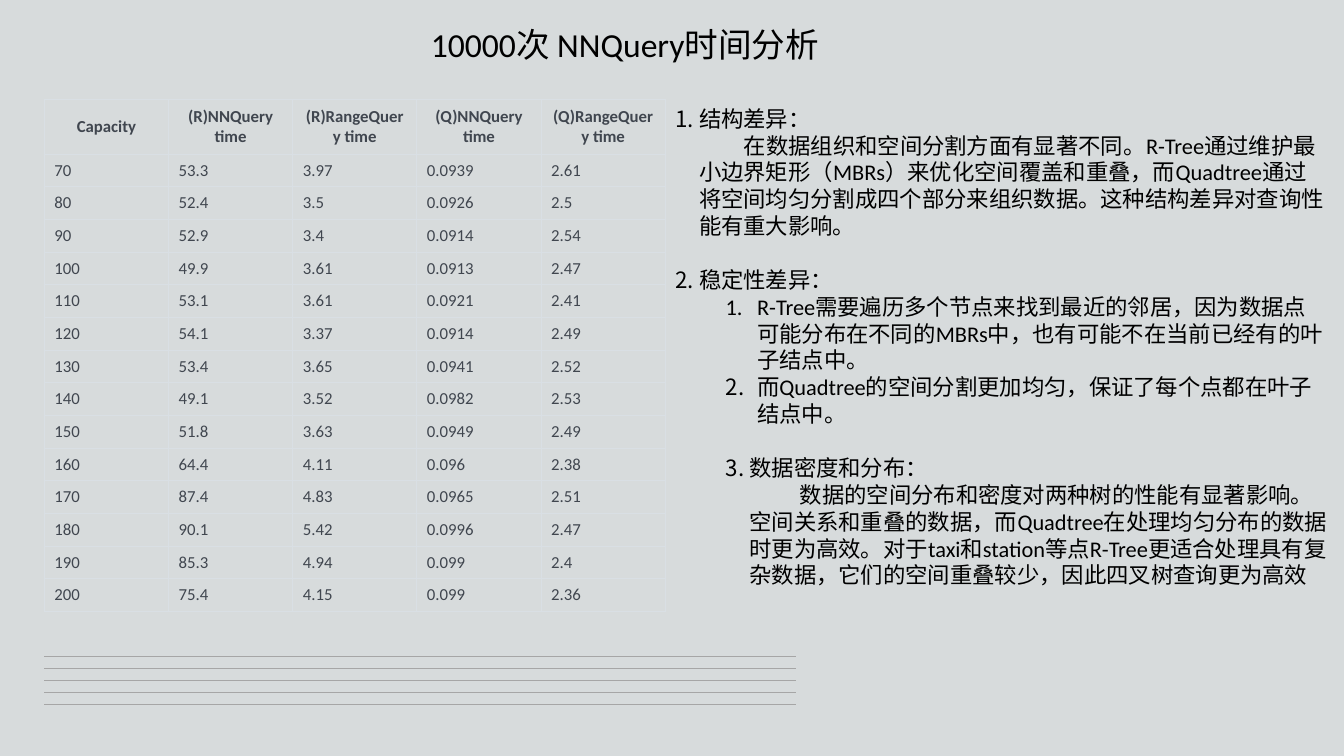
"""Slide with NNQuery timings in a table and a numbered analysis beside it."""
from lxml import etree
from pptx import Presentation
from pptx.dml.color import RGBColor
from pptx.enum import shapes, text
from pptx.oxml.ns import qn
from pptx.util import Pt

BACK = RGBColor(0xD7, 0xDB, 0xDC)
RULE = RGBColor(0xA6, 0xA6, 0xA6)
INK = RGBColor(0x40, 0x46, 0x4F)
BLACK = RGBColor(0, 0, 0)
EDGE = RGBColor(0xD9, 0xDF, 0xE4)
FONT = "Calibri"

HEADS = ["Capacity", "(R)NNQuery time", "(R)RangeQuery time",
         "(Q)NNQuery time", "(Q)RangeQuery time"]
TIMES = [
    ("53.3", "3.97", "0.0939", "2.61"),
    ("52.4", "3.5", "0.0926", "2.5"),
    ("52.9", "3.4", "0.0914", "2.54"),
    ("49.9", "3.61", "0.0913", "2.47"),
    ("53.1", "3.61", "0.0921", "2.41"),
    ("54.1", "3.37", "0.0914", "2.49"),
    ("53.4", "3.65", "0.0941", "2.52"),
    ("49.1", "3.52", "0.0982", "2.53"),
    ("51.8", "3.63", "0.0949", "2.49"),
    ("64.4", "4.11", "0.096", "2.38"),
    ("87.4", "4.83", "0.0965", "2.51"),
    ("90.1", "5.42", "0.0996", "2.47"),
    ("85.3", "4.94", "0.099", "2.4"),
    ("75.4", "4.15", "0.099", "2.36"),
]
ROWS = [HEADS] + [(str(70 + 10 * i), *row) for i, row in enumerate(TIMES)]

# number, level, left margin, first-line indent, space after, wording
NOTES = [
    (1, 0, 17, -17, 0, "结构差异："),
    (0, 0, 17, 32, 19.2, "在数据组织和空间分割方面有显著不同。R-Tree通过维护最小边界矩形（MBRs）来优化空间覆盖和重叠，"
     "而Quadtree通过将空间均匀分割成四个部分来组织数据。这种结构差异对查询性能有重大影响。"),
    (2, 0, 17, -17, 0, "稳定性差异："),
    (1, 1, 58.5, -22.5, 0, "R-Tree需要遍历多个节点来找到最近的邻居，因为数据点可能分布在不同的MBRs中，"
     "也有可能不在当前已经有的叶子结点中。"),
    (2, 1, 58.5, -22.5, 19.2, "而Quadtree的空间分割更加均匀，保证了每个点都在叶子结点中。"),
    (3, 1, 53, -17, 0, "数据密度和分布："),
    (0, 1, 53, 36, 0, "数据的空间分布和密度对两种树的性能有显著影响。空间关系和重叠的数据，"
     "而Quadtree在处理均匀分布的数据时更为高效。对于taxi和station等点R-Tree更适合处理具有复杂数据，"
     "它们的空间重叠较少，因此四叉树查询更为高效"),
]


def style(para, size, color, bold=False):
    for run in para.runs:
        run.font.name = FONT
        run.font.size = Pt(size)
        run.font.bold = bold
        run.font.color.rgb = color


def add_text(left, top, width, height):
    frame = slide.shapes.add_textbox(Pt(left), Pt(top), Pt(width), Pt(height)).text_frame
    frame.word_wrap = True
    frame.auto_size = text.MSO_AUTO_SIZE.SHAPE_TO_FIT_TEXT
    return frame


deck = Presentation()
deck.slide_width, deck.slide_height = Pt(960), Pt(540)
slide = deck.slides.add_slide(deck.slide_layouts[6])
slide.background.fill.solid()
slide.background.fill.fore_color.rgb = BACK

for start, end in ((215.3, 568.8), (31.7, 215.3)):
    for i in range(5):
        y = Pt(468.7 + 8.65 * i)
        line = slide.shapes.add_connector(shapes.MSO_CONNECTOR.STRAIGHT, Pt(start), y, Pt(end), y)
        line.line.color.rgb = RULE
        line.line.width = Pt(0.5)
        etree.SubElement(line._element.spPr, qn("a:effectLst"))

table = slide.shapes.add_table(len(ROWS), len(HEADS), Pt(31.7), Pt(71.3), Pt(443.5), Pt(365.8)).table
table.first_row = table.horz_banding = False
for col in table.columns:
    col.width = Pt(88.7)
for r, row in enumerate(ROWS):
    table.rows[r].height = Pt(23.35 if r else 38.9)
    for c, word in enumerate(row):
        cell = table.cell(r, c)
        cell.text_frame.text = word
        cell.vertical_anchor = text.MSO_ANCHOR.MIDDLE
        para = cell.text_frame.paragraphs[0]
        para.alignment = text.PP_ALIGN.LEFT if r else text.PP_ALIGN.CENTER
        style(para, 12, INK, r == 0)
        props = cell._tc.get_or_add_tcPr()
        for side in ("lnL", "lnR", "lnT", "lnB"):
            edge = etree.SubElement(props, qn("a:" + side), w=str(Pt(0.75)))
            fill = etree.SubElement(edge, qn("a:solidFill"))
            etree.SubElement(fill, qn("a:srgbClr"), val=str(EDGE))
        cell.fill.background()

notes = add_text(475.2, 71.3, 481, 375.8)
for i, (number, level, left, indent, after, words) in enumerate(NOTES):
    para = notes.add_paragraph() if i else notes.paragraphs[0]
    para.text = words
    para.level = level
    para.space_after = Pt(after)
    style(para, 16, BLACK)
    props = para._p.get_or_add_pPr()
    props.set("marL", str(Pt(left)))
    props.set("indent", str(Pt(indent)))
    if number:
        etree.SubElement(props, qn("a:buFont"), typeface=FONT)
        etree.SubElement(props, qn("a:buAutoNum"), type="arabicPeriod", startAt=str(number))

title = add_text(110.9, 13.7, 671, 36)
title.text = "10000次 NNQuery时间分析"
title.paragraphs[0].alignment = text.PP_ALIGN.CENTER
style(title.paragraphs[0], 24, BLACK)

deck.save("out.pptx")
